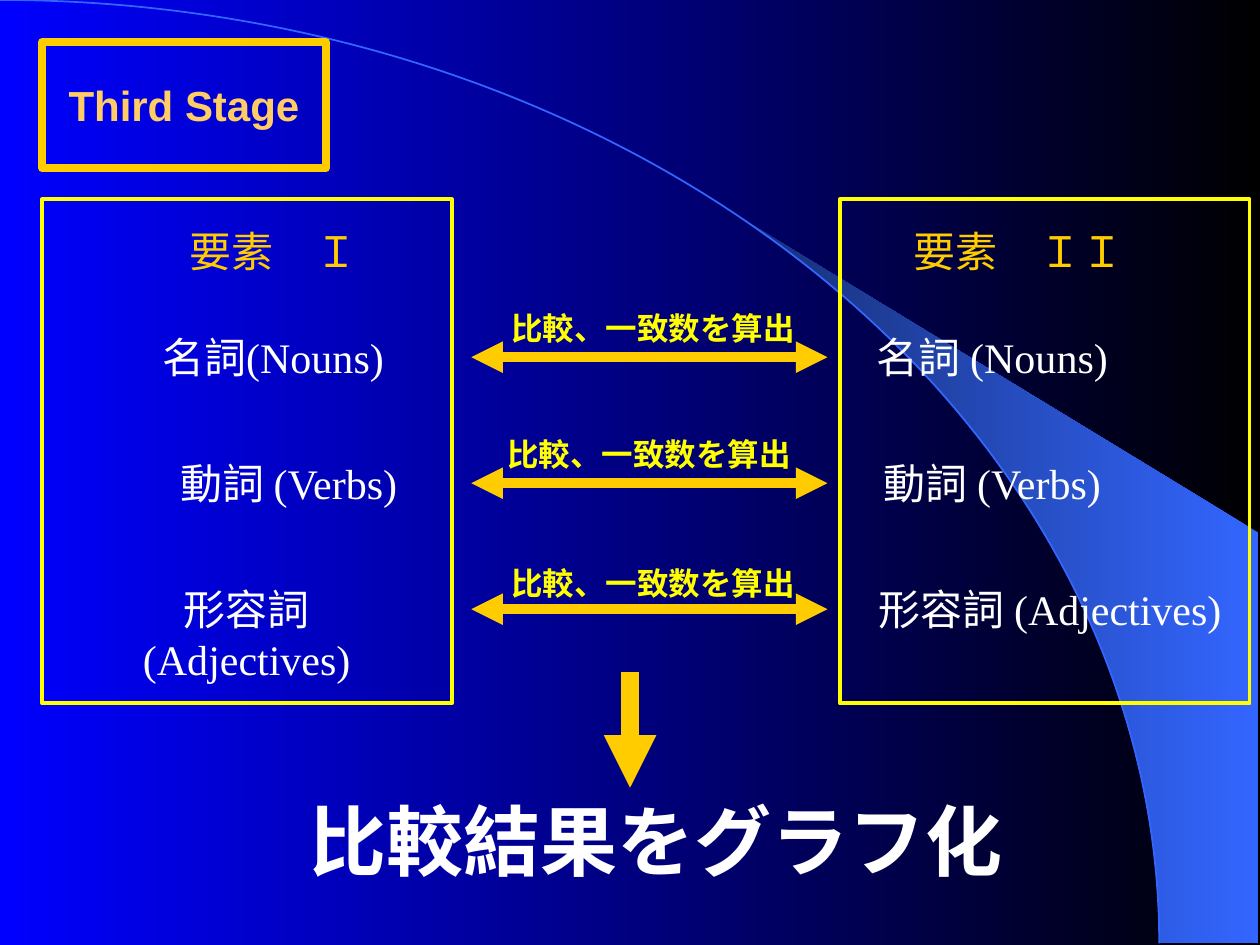
"""Build the "Third Stage" slide comparing two sets of word classes."""
import math

import pptx
import pptx.dml.color
import pptx.enum.shapes
import pptx.enum.text
import pptx.oxml
import pptx.oxml.ns
import pptx.util
from pptx.util import Cm

BLACK = pptx.dml.color.RGBColor(0x00, 0x00, 0x00)
BLUE = pptx.dml.color.RGBColor(0x00, 0x00, 0xFF)
SKY = pptx.dml.color.RGBColor(0x33, 0x66, 0xFF)
NAVY = pptx.dml.color.RGBColor(0x17, 0x2F, 0x75)
GOLD = pptx.dml.color.RGBColor(0xFF, 0xCC, 0x00)
PEACH = pptx.dml.color.RGBColor(0xFF, 0xCC, 0x66)
YELLOW = pptx.dml.color.RGBColor(0xFF, 0xFF, 0x00)
WHITE = pptx.dml.color.RGBColor(0xFF, 0xFF, 0xFF)

SHAPE = pptx.enum.shapes.MSO_SHAPE
ROW_STEP = 2.54

deck = pptx.Presentation()
deck.slide_width, deck.slide_height = Cm(25.4), Cm(19.05)
page = deck.slides.add_slide(deck.slide_layouts[5])


def add_text(left, top, width, height, text, size, color, bold=False):
    box = page.shapes.add_textbox(Cm(left), Cm(top), Cm(width), Cm(height))
    box.text_frame.word_wrap = True
    box.text_frame.auto_size = pptx.enum.text.MSO_AUTO_SIZE.SHAPE_TO_FIT_TEXT
    para = box.text_frame.paragraphs[0]
    para.text = text
    para.alignment = pptx.enum.text.PP_ALIGN.CENTER
    para.font.name = "Times New Roman"
    para.font.size = pptx.util.Pt(size)
    para.font.bold = bold
    para.font.color.rgb = color


def add_arrow(start_x, start_y, end_x, end_y, width, ends):
    arrow = page.shapes.add_connector(
        pptx.enum.shapes.MSO_CONNECTOR.STRAIGHT,
        Cm(start_x), Cm(start_y), Cm(end_x), Cm(end_y))
    arrow.line.color.rgb = GOLD
    arrow.line.width = pptx.util.Pt(width)
    for end in ends:
        head = pptx.oxml.parse_xml(
            f'<a:{end} {pptx.oxml.ns.nsdecls("a")} type="triangle"/>')
        arrow.get_or_add_ln().append(head)
    arrow.element.spPr.append(
        pptx.oxml.parse_xml(f'<a:effectLst {pptx.oxml.ns.nsdecls("a")}/>'))


radius_x, radius_y = 23.37, 19.02
curve = []
for degrees in range(40, 91, 2):
    angle = math.radians(degrees)
    curve.append((Cm(radius_x * math.sin(angle)),
                  Cm(radius_y * (1 - math.cos(angle)))))
outline = page.shapes.build_freeform(*curve[0])
outline.add_line_segments(
    curve[1:] + [(Cm(25.37), Cm(19.02)), (Cm(25.37), Cm(10.74))])
beam = outline.convert_to_shape()
beam.shadow.inherit = False
beam.line.fill.background()

for fill, colors in ((page.background.fill, (BLACK, BLUE)),
                     (beam.fill, (SKY, NAVY))):
    fill.gradient()
    fill.gradient_angle = 180
    for stop, color in zip(fill.gradient_stops, colors):
        stop.color.rgb = color

arc = page.shapes.add_shape(
    SHAPE.ARC, Cm(-radius_x), Cm(0), Cm(2 * radius_x), Cm(2 * radius_y))
arc.shadow.inherit = False
arc.fill.background()
arc.line.color.rgb = SKY
arc.line.width = pptx.util.Pt(1)

title = page.shapes.title
arc.element.addnext(title.element)
title.left, title.top, title.width, title.height = (
    Cm(0.85), Cm(0.85), Cm(5.72), Cm(2.54))
title.line.color.rgb = GOLD
title.line.width = pptx.util.Pt(4.5)
title.text_frame.vertical_anchor = pptx.enum.text.MSO_ANCHOR.MIDDLE
para = title.text_frame.paragraphs[0]
para.text = "Third Stage"
para.alignment = pptx.enum.text.PP_ALIGN.CENTER
para.font.name = "Arial"
para.font.size = pptx.util.Pt(24)
para.font.bold = True
para.font.color.rgb = PEACH

add_text(3.18, 15.88, 20.11, 2.13, "比較結果をグラフ化", 44, WHITE, True)

columns = (
    (0.85, (2.33, 6.35, "要素　Ｉ"),
     ((2.33, 6.35, 1.27, "名詞(Nouns)"),
      (2.96, 5.72, 1.27, "動詞 (Verbs)"),
      (1.27, 7.41, 2.29, "形容詞 (Adjectives)"))),
    (16.93, (17.36, 6.35, "要素　ＩＩ"),
     ((17.36, 5.29, 2.29, "名詞 (Nouns)"),
      (17.36, 5.29, 1.27, "動詞 (Verbs)"),
      (17.36, 7.62, 1.27, "形容詞 (Adjectives)"))),
)
for frame_left, (left, width, heading), words in columns:
    add_text(left, 4.42, width, 1.27, heading, 24, GOLD)
    for row, (left, width, height, word) in enumerate(words):
        add_text(left, 6.56 + row * ROW_STEP, width, height, word, 24, WHITE)
    frame = page.shapes.add_shape(
        SHAPE.RECTANGLE, Cm(frame_left), Cm(4.02), Cm(8.26), Cm(10.16))
    frame.shadow.inherit = False
    frame.fill.background()
    frame.line.color.rgb = YELLOW
    frame.line.width = pptx.util.Pt(2.25)

for row, (left, top) in enumerate(((9.88, 6.1), (9.8, 8.64), (9.88, 11.25))):
    middle = 7.2 + row * ROW_STEP
    add_arrow(9.5, middle, 16.68, middle, 6, ("headEnd", "tailEnd"))
    add_text(left, top, 6.56, 1.02, "比較、一致数を算出", 18, YELLOW, True)

add_arrow(12.7, 13.55, 12.7, 15.88, 10, ("tailEnd",))

deck.save("out.pptx")
